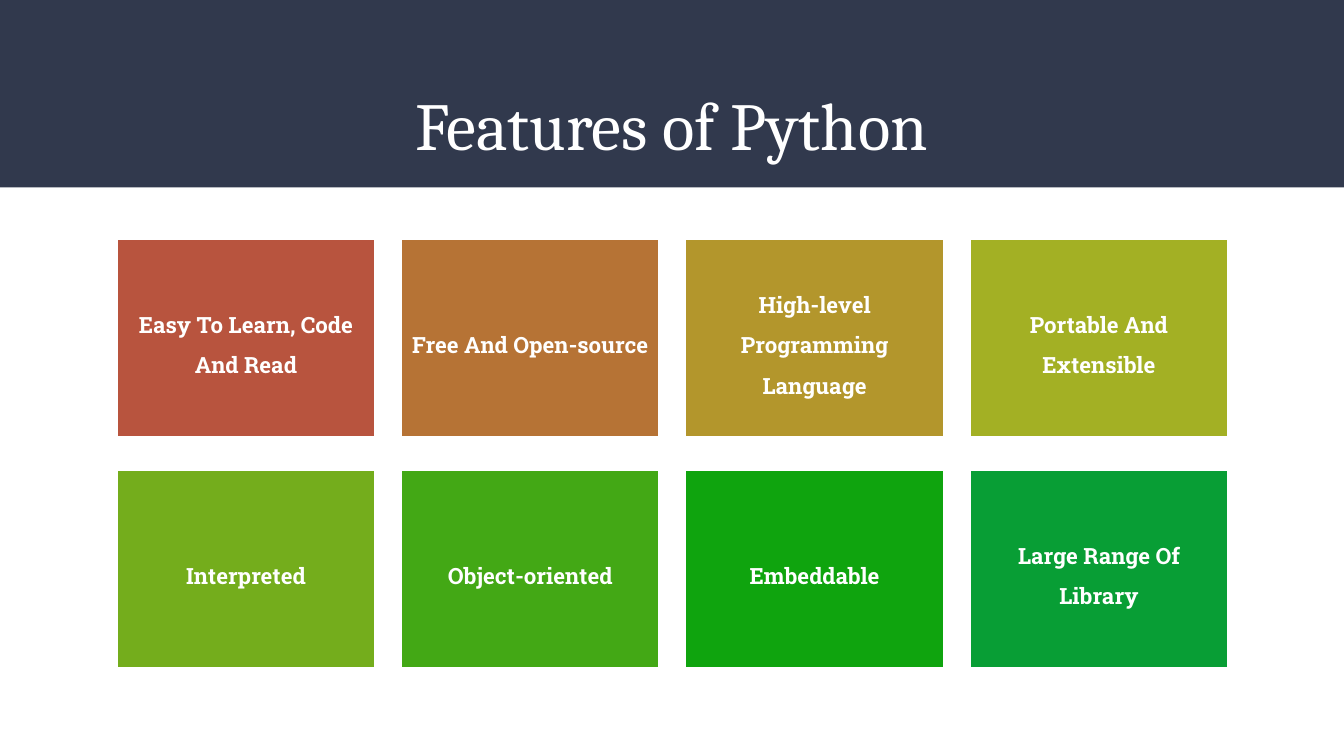
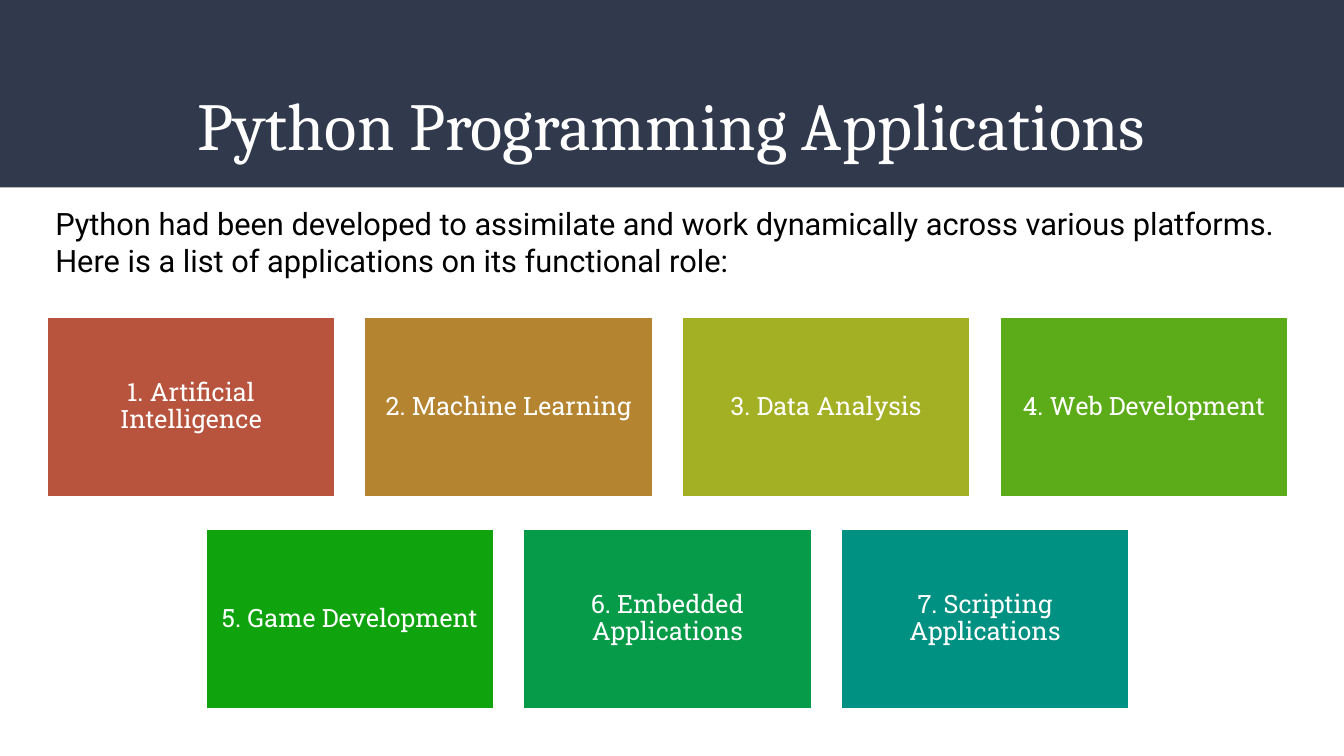
from dataclasses import dataclass

import pptx
import pptx.dml.color
import pptx.enum.shapes
import pptx.enum.text
import pptx.util

Inches = pptx.util.Inches
Align = pptx.enum.text.PP_ALIGN
Anchor = pptx.enum.text.MSO_ANCHOR

# Shared style
SLIDE_WIDTH, SLIDE_HEIGHT = 13.33, 7.5
BAND_HEIGHT = 1.86
NAVY, WHITE, BLACK = "31394D", "FFFFFF", "000000"
TITLE_FONT, BODY_FONT, TILE_FONT = "Cambria", "Roboto", "Roboto Slab"
TEXT_LEFT, TEXT_WIDTH, TEXT_HEIGHT = 0.45, 12.42, 0.91


@dataclass(frozen=True)
class Tile:
    text: str
    fill: str


@dataclass(frozen=True)
class TileGrid:
    """Rows of equal tiles, each row centred on the same axis."""
    center: float
    top: float
    width: float
    height: float
    column_gap: float
    row_gap: float
    font_size: int
    bold: bool
    line_spacing: float
    rows: tuple[tuple[Tile, ...], ...]


FEATURES = TileGrid(
    center=6.67, top=2.37, width=2.57, height=1.97, column_gap=0.25, row_gap=0.32,
    font_size=16, bold=True, line_spacing=1.5,
    rows=(
        (
            Tile("Easy To Learn, Code And Read", "B8543E"),
            Tile("Free And Open-source", "B67335"),
            Tile("High-level Programming Language", "B3962C"),
            Tile("Portable And Extensible", "A3B024"),
        ),
        (
            Tile("Interpreted", "74AD1C"),
            Tile("Object-oriented", "43A815"),
            Tile("Embeddable", "0FA40E"),
            Tile("Large Range Of Library", "089E35"),
        ),
    ),
)

APPLICATIONS = TileGrid(
    center=6.62, top=3.14, width=2.87, height=1.8, column_gap=0.28, row_gap=0.3,
    font_size=18, bold=False, line_spacing=0.9,
    rows=(
        (
            Tile("1. Artificial Intelligence", "B8543E"),
            Tile("2. Machine Learning", "B48431"),
            Tile("3. Data Analysis", "A3B024"),
            Tile("4. Web Development", "5CAB18"),
        ),
        (
            Tile("5. Game Development", "0FA40E"),
            Tile("6. Embedded Applications", "069B49"),
            Tile("7. Scripting Applications", "009182"),
        ),
    ),
)

INTRODUCTION = (
    "Python had been developed to assimilate and work dynamically across various platforms.\n"
    "Here is a list of applications on its functional role:"
)


def color(value: str) -> pptx.dml.color.RGBColor:
    return pptx.dml.color.RGBColor.from_string(value)


def write_text(shape, text: str, font: str, size: int, text_color: str, *,
               align=Align.CENTER, anchor=Anchor.TOP, bold: bool = False,
               side_inset: float = 0.1, end_inset: float = 0.1,
               line_spacing: float = 1.0) -> None:
    text_frame = shape.text_frame
    text_frame.text = text
    text_frame.word_wrap = True
    text_frame.vertical_anchor = anchor
    text_frame.margin_left = text_frame.margin_right = Inches(side_inset)
    text_frame.margin_top = text_frame.margin_bottom = Inches(end_inset)
    for paragraph in text_frame.paragraphs:
        paragraph.alignment = align
        paragraph.line_spacing = line_spacing
        for run in paragraph.runs:
            run.font.name = font
            run.font.size = pptx.util.Pt(size)
            run.font.bold = bold
            run.font.color.rgb = color(text_color)


def add_rectangle(slide, left: float, top: float, width: float, height: float, fill: str):
    shape = slide.shapes.add_shape(
        pptx.enum.shapes.MSO_SHAPE.RECTANGLE,
        Inches(left), Inches(top), Inches(width), Inches(height))
    shape.shadow.inherit = False
    shape.fill.solid()
    shape.fill.fore_color.rgb = color(fill)
    shape.line.fill.background()
    return shape


def add_text_box(slide, top: float):
    return slide.shapes.add_textbox(
        Inches(TEXT_LEFT), Inches(top), Inches(TEXT_WIDTH), Inches(TEXT_HEIGHT))


def add_titled_slide(presentation, title: str):
    slide = presentation.slides.add_slide(presentation.slide_layouts[6])
    add_rectangle(slide, 0, 0, SLIDE_WIDTH, BAND_HEIGHT, NAVY)
    write_text(add_text_box(slide, 0.73), title, TITLE_FONT, 48, WHITE)
    return slide


def add_tiles(slide, grid: TileGrid) -> None:
    pitch = grid.width + grid.column_gap
    for row_index, row in enumerate(grid.rows):
        left = grid.center - (len(row) * pitch - grid.column_gap) / 2
        top = grid.top + row_index * (grid.height + grid.row_gap)
        for column_index, tile in enumerate(row):
            shape = add_rectangle(slide, left + column_index * pitch, top,
                                  grid.width, grid.height, tile.fill)
            shape.line.color.rgb = color(WHITE)
            shape.line.width = pptx.util.Pt(2)
            write_text(shape, tile.text, TILE_FONT, grid.font_size, WHITE,
                       anchor=Anchor.MIDDLE, bold=grid.bold, side_inset=0.07,
                       end_inset=0.07, line_spacing=grid.line_spacing)


def main() -> None:
    presentation = pptx.Presentation()
    presentation.slide_width = Inches(SLIDE_WIDTH)
    presentation.slide_height = Inches(SLIDE_HEIGHT)

    # Features
    slide = add_titled_slide(presentation, "Features of Python")
    add_tiles(slide, FEATURES)

    # Applications
    slide = add_titled_slide(presentation, "Python Programming Applications")
    add_tiles(slide, APPLICATIONS)
    write_text(add_text_box(slide, 1.98), INTRODUCTION, BODY_FONT, 22, BLACK,
               align=Align.LEFT, end_inset=0.05)

    presentation.save("out.pptx")


if __name__ == "__main__":
    main()
